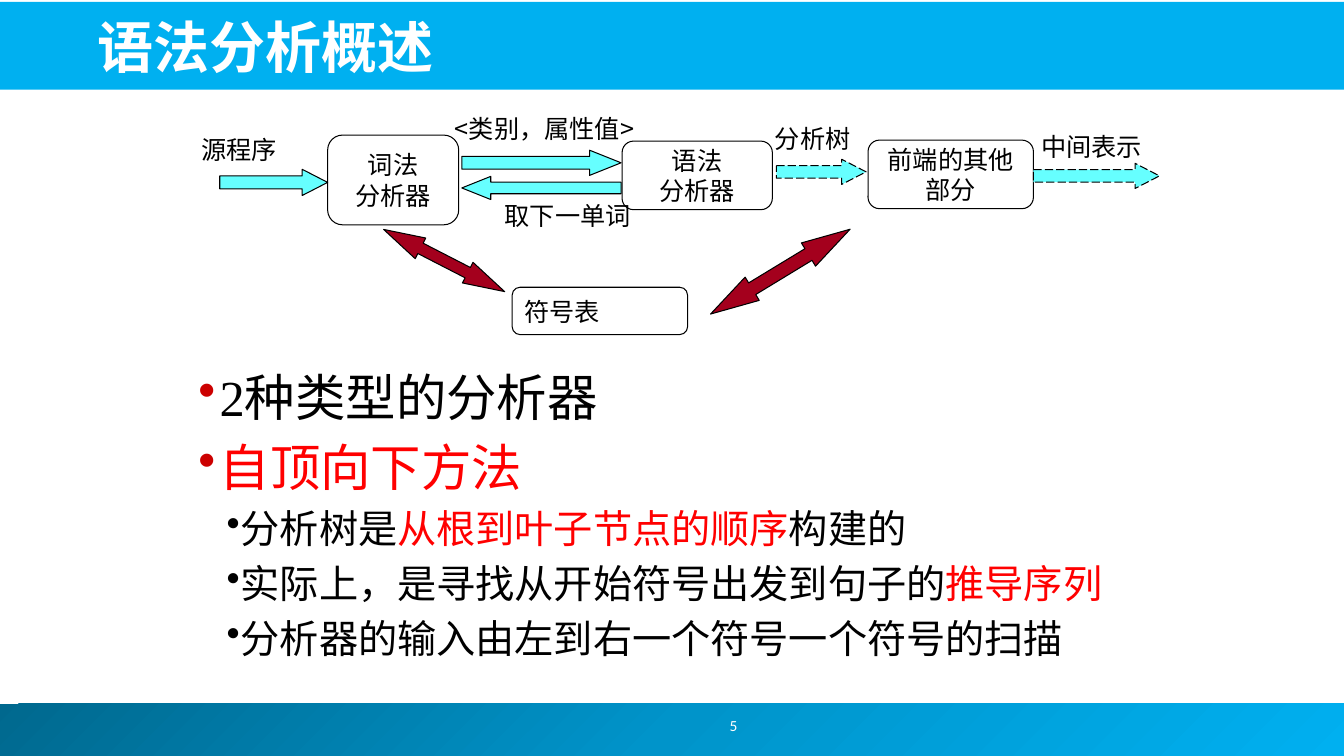
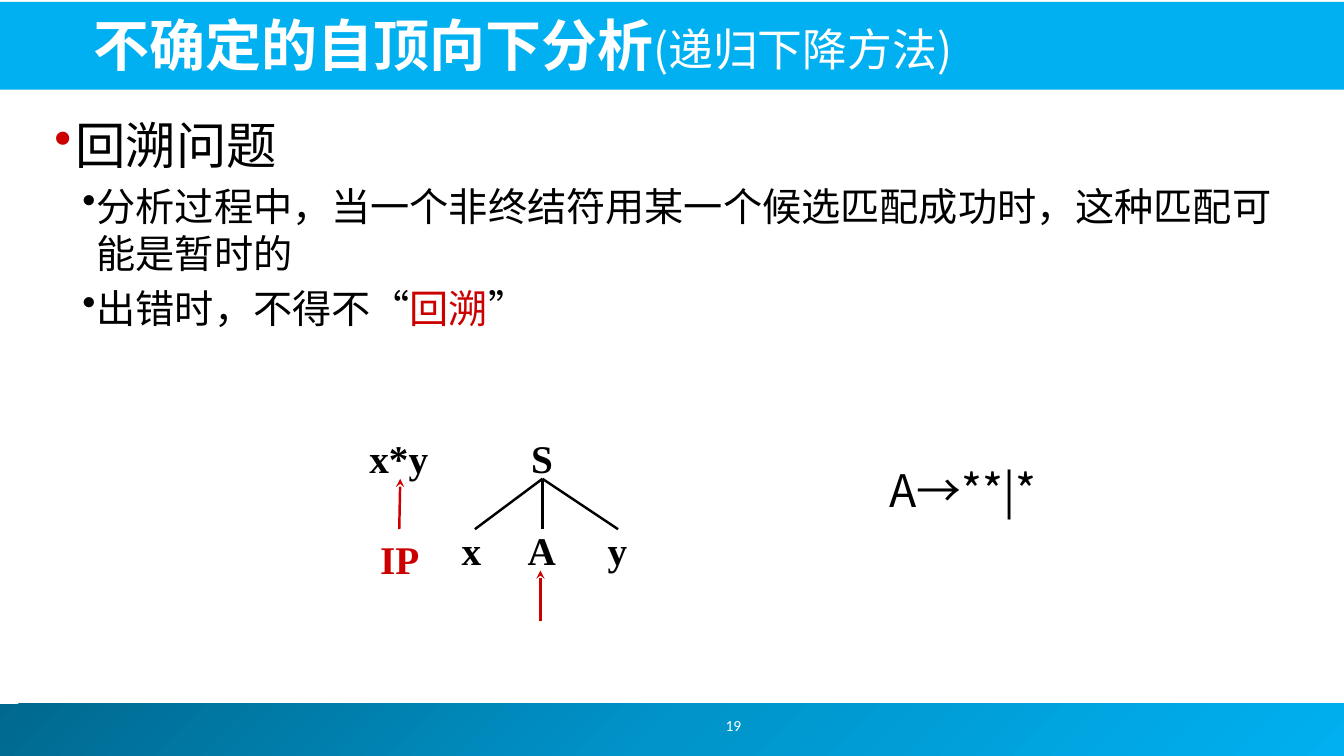
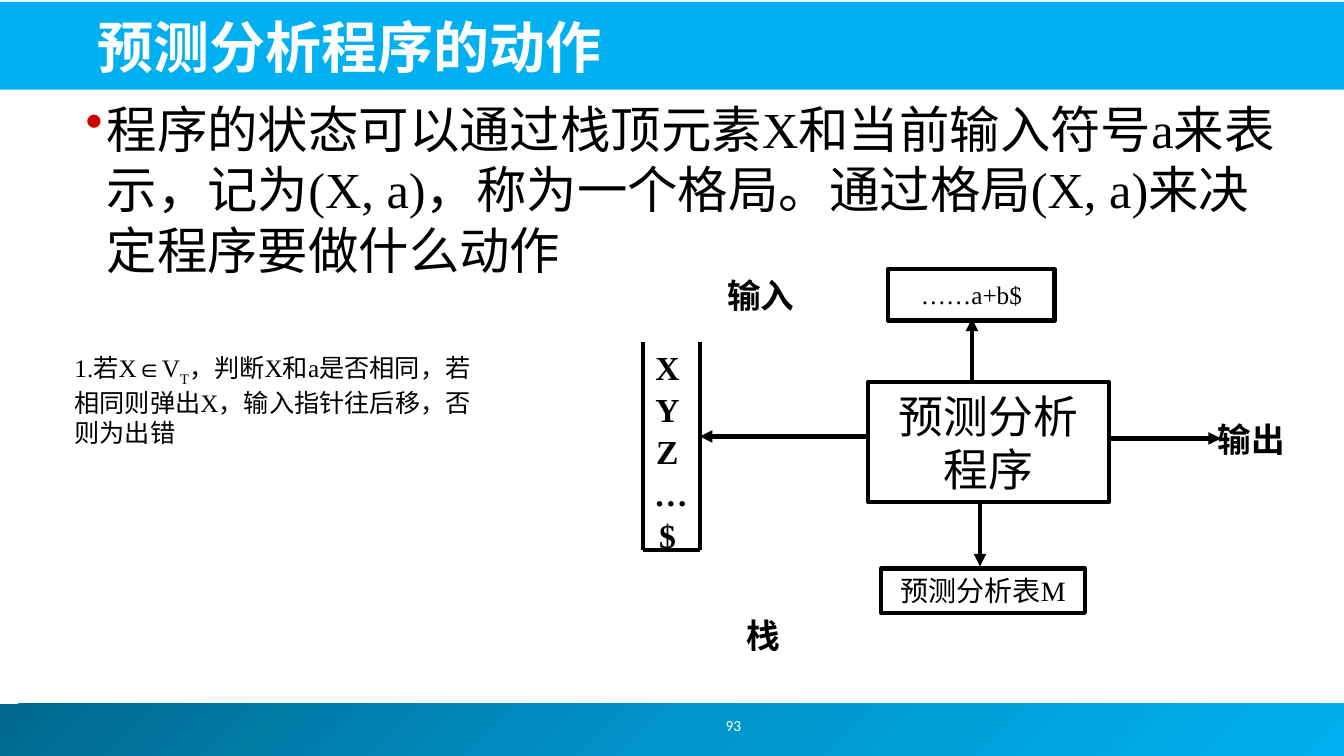
from copy import deepcopy
from dataclasses import dataclass

from lxml.etree import SubElement
from pptx import Presentation
from pptx.dml.color import RGBColor
from pptx.enum.shapes import MSO_CONNECTOR, MSO_SHAPE
from pptx.enum.text import MSO_ANCHOR, PP_ALIGN
from pptx.oxml.ns import qn
from pptx.util import Inches, Pt


@dataclass(frozen=True)
class Theme:
    black: str = "000000"
    white: str = "FFFFFF"
    red: str = "FF0000"
    dark_red: str = "CC0000"
    band: str = "00B0F0"
    footer: tuple = ("00688E", "0094CA", "00B0F0")
    flow: str = "66FFFF"
    access: str = "A4001D"
    serif: str = "Times New Roman"
    sans: str = "Noto Sans CJK JP"
    formula: str = "Noto Sans CJK SC"
    number: str = "Calibri"
    title_size: int = 40
    large: int = 32
    tree_size: int = 28
    label_size: int = 24
    table_size: int = 20
    small: int = 18
    number_size: int = 11


T = Theme()
LEFT, CENTER = PP_ALIGN.LEFT, PP_ALIGN.CENTER
TOP, MIDDLE, BOTTOM = MSO_ANCHOR.TOP, MSO_ANCHOR.MIDDLE, MSO_ANCHOR.BOTTOM
# level: (size, left margin, hanging indent, bullet colour)
LEVELS = [(36, 0.21, 0.21, T.dark_red), (28, 0.42, 0.14, T.black)]
RED, DARK_RED = {"color": T.red}, {"color": T.dark_red}

# A paragraph is a string or a list of runs; a run is a string or (string, changes).
OVERVIEW = {
    "number": "5",
    "title": ["语法分析概述"],
    "title_at": (0.87, 0.05, 12.06, 0.79),
    "body_at": (1.87, 3.58, 9.8, 3.42),
    "body": [
        (0, ["2种类型的分析器"]),
        (0, [("自顶向下方法", RED)]),
        (1, ["分析树是", ("从根到叶子节点的顺序", RED), "构建的"]),
        (1, ["实际上，是寻找从开始符号出发到句子的", ("推导序列", RED)]),
        (1, ["分析器的输入由左到右一个符号一个符号的扫描"]),
    ],
}
STAGES = [  # lines, place, alignment, outline
    (["源程序"], (1.87, 1.18, 0.9, 0.61), LEFT, T.white),
    (["词法", "分析器"], (3.25, 1.34, 1.3, 0.89), CENTER, T.black),
    (["语法", "分析器"], (6.17, 1.4, 1.49, 0.68), CENTER, T.black),
    (["前端的其他部分"], (8.61, 1.39, 1.64, 0.68), CENTER, T.black),
    (["符号表"], (5.08, 2.85, 1.74, 0.47), LEFT, T.black),
]
FLOWS = [  # shape, place, head length, dashed
    (MSO_SHAPE.RIGHT_ARROW, (2.18, 1.68, 1.07, 0.26), 0.97, False),
    (MSO_SHAPE.RIGHT_ARROW, (4.58, 1.49, 1.58, 0.25), 1.25, False),
    (MSO_SHAPE.LEFT_ARROW, (4.58, 1.75, 1.58, 0.23), 1.25, False),
    (MSO_SHAPE.RIGHT_ARROW, (7.7, 1.58, 0.89, 0.25), 0.97, True),
    (MSO_SHAPE.RIGHT_ARROW, (10.25, 1.62, 1.25, 0.25), 0.97, True),
]
TABLE_ACCESS = [  # place, rotation
    ((3.73, 2.47, 1.35, 0.23), 27.2),
    ((6.93, 2.56, 1.62, 0.27), -31.3),
]
FLOW_LABELS = [
    ("<类别，属性值>", (4.33, 1.08, 2.14, 0.4)),
    ("取下一单词", (4.78, 1.94, 1.7, 0.4)),
    ("分析树", (7.54, 1.17, 1.04, 0.4)),
    ("中间表示", (10.15, 1.25, 1.35, 0.4)),
]

BACKTRACKING = {
    "number": "19",
    "title": ["不确定的自顶向下分析",
              ("(递归下降方法)", {"size": T.large, "bold": False})],
    "title_at": (0.83, 0.03, 10.42, 0.79),
    "body_at": (0.44, 1.08, 12.47, 5.5),
    "body": [
        (0, ["回溯问题"]),
        (1, ["分析过程中，当一个非终结符用某一个候选匹配成功时，这种匹配可能是暂时的"]),
        (1, ["出错时，不得不“", ("回溯", DARK_RED), "”"]),
    ],
}
TREE_NODES = [  # text, left, top, height, colour
    ("x*y", 3.54, 4.33, 0.42, T.black),
    ("IP", 3.55, 5.29, 0.5, T.dark_red),
    ("S", 4.96, 4.33, 0.42, T.black),
    ("x", 4.26, 5.21, 0.5, T.black),
    ("A", 4.96, 5.21, 0.5, T.black),
    ("y", 5.71, 5.21, 0.5, T.black),
]
ROOT, LEAF_XS, LEAF_Y = (5.38, 4.75), (4.71, 5.38, 6.13), 5.25
POINTERS = [((3.96, 5.25), (3.97, 4.75)), ((5.36, 6.16), (5.36, 5.66))]

ACTIONS = {
    "number": "93",
    "title": ["预测分析程序的动作"],
    "title_at": (0.87, 0.05, 12.06, 0.79),
    "body_at": (0.75, 0.92, 12.14, 2.5),
    "body": [(0, ["程序的状态可以通过栈顶元素X和当前输入符号a来表示，记为(X, a)，"
                  "称为一个格局。通过格局(X, a)来决定程序要做什么动作"])],
}
MACHINE_BOXES = [
    ("……a+b$", (8.81, 2.67, 1.65, 0.51), T.small),
    ("预测分析程序", (8.61, 3.79, 2.39, 1.19), T.large),
    ("预测分析表M", (8.74, 5.64, 2.02, 0.44), T.table_size),
]
MACHINE_ARROWS = [
    ((8.61, 4.33), (6.94, 4.33)),
    ((9.64, 3.79), (9.64, 3.16)),
    ((11, 4.35), (12.11, 4.35)),
    ((9.72, 4.98), (9.72, 5.62)),
]
MACHINE_LABELS = [
    ("输出", (11.93, 4.11, 0.96, 0.51)),
    ("栈", (7.09, 6.05, 0.96, 0.51)),
    ("输入", (6.59, 2.68, 1.91, 0.51)),
]
STACK_OUTLINE = [(6.38, 3.39), (6.38, 5.46), (6.94, 5.46), (6.94, 3.39)]
STACK = ["X", "Y", "Z", "…", "$"]
RULE = ["1.若X∈V", ("T", {"baseline": -25000}),
        "，判断X和a是否相同，若相同则弹出X，输入指针往后移，否则为出错"]


def rgb(color):
    return RGBColor.from_string(color)


def inches(values):
    return [Inches(v) for v in values]


def add_runs(p, runs, size, font, color=T.black, bold=False):
    for run in [runs] if isinstance(runs, str) else runs:
        text, changes = (run, {}) if isinstance(run, str) else run
        r = p.add_run()
        r.text = text
        r.font.name = font
        r.font.size = Pt(changes.get("size", size))
        r.font.bold = changes.get("bold", bold)
        r.font.color.rgb = rgb(changes.get("color", color))
        if "baseline" in changes:
            r._r.get_or_add_rPr().set("baseline", str(changes["baseline"]))


def write(s, paragraphs, size, font, align=LEFT, anchor=TOP, wrap=True,
          gap=0, **style):
    tf = s.text_frame
    tf.word_wrap = wrap
    tf.vertical_anchor = anchor
    for i, runs in enumerate(paragraphs):
        p = tf.add_paragraph() if i else tf.paragraphs[0]
        p.alignment = align
        if i and gap:
            p.space_before = Pt(gap)
        add_runs(p, runs, size, font, **style)
    return tf


def add_text(slide, at, paragraphs, size, font, **style):
    return write(slide.shapes.add_textbox(*inches(at)), paragraphs, size, font, **style)


def add_shape(slide, kind, at, fill=None, line=None, width=0.75):
    s = slide.shapes.add_shape(kind, *inches(at))
    s.shadow.inherit = False
    if fill:
        s.fill.solid()
        s.fill.fore_color.rgb = rgb(fill)
    else:
        s.fill.background()
    if line:
        s.line.color.rgb = rgb(line)
        s.line.width = Pt(width)
    else:
        s.line.fill.background()
    return s


def add_line(slide, start, end, color, width, head=None):
    c = slide.shapes.add_connector(MSO_CONNECTOR.STRAIGHT, *inches((*start, *end)))
    c.line.color.rgb = rgb(color)
    c.line.width = Pt(width)
    if head:
        SubElement(c.line._get_or_add_ln(), qn("a:tailEnd"), type=head)
    SubElement(c._element.spPr, qn("a:effectLst"))


def add_block_arrow(slide, kind, at, head, fill):
    s = add_shape(slide, kind, at, fill, T.black)
    s.adjustments[0] = 0.5
    s.adjustments[1] = head
    return s


def add_footer_band(slide):
    s = add_shape(slide, MSO_SHAPE.RECTANGLE, (-0.05, 6.98, 13.39, 0.52))
    s.fill.gradient()
    s.fill.gradient_angle = 315
    stop_list = s._element.spPr.find(qn("a:gradFill")).find(qn("a:gsLst"))
    stop_list.insert(1, deepcopy(stop_list[0]))
    for stop, color, position in zip(s.fill.gradient_stops, T.footer, (0, 0.5, 1)):
        stop.color.rgb = rgb(color)
        stop.position = position


def add_bullets(slide, at, items):
    tf = slide.shapes.add_textbox(*inches(at)).text_frame
    tf.word_wrap = True
    for i, (level, runs) in enumerate(items):
        size, margin, hang, bullet_color = LEVELS[level]
        p = tf.add_paragraph() if i else tf.paragraphs[0]
        pPr = p._p.get_or_add_pPr()
        pPr.set("marL", str(Inches(margin)))
        pPr.set("indent", str(-Inches(hang)))
        SubElement(SubElement(pPr, qn("a:buClr")), qn("a:srgbClr"), val=bullet_color)
        SubElement(pPr, qn("a:buChar"), char="•")
        p.level = level
        if i:
            p.space_before = Pt(0.2 * size)
        add_runs(p, runs, size, T.serif)


def add_slide(prs, content):
    """Add a slide with the shared bands, title, page number and bullets."""
    slide = prs.slides.add_slide(prs.slide_layouts[6])
    add_footer_band(slide)
    add_shape(slide, MSO_SHAPE.RECTANGLE, (-0.02, 0.02, 13.36, 0.87), T.band)
    add_bullets(slide, content["body_at"], content["body"])
    add_text(slide, (5.83, 6.95, 2.89, 0.5), [content["number"]], T.number_size,
             T.number, align=CENTER, anchor=MIDDLE, color=T.white)
    add_text(slide, content["title_at"], [content["title"]], T.title_size, T.sans,
             anchor=BOTTOM, color=T.white, bold=True)
    return slide


def draw_front_end(slide):
    for lines, at, align, outline in STAGES:
        s = add_shape(slide, MSO_SHAPE.ROUNDED_RECTANGLE, at, line=outline)
        write(s, lines, T.small, T.sans, align=align, anchor=MIDDLE,
              wrap=align == CENTER)
    for kind, at, head, dashed in FLOWS:
        s = add_block_arrow(slide, kind, at, head, T.flow)
        if dashed:
            SubElement(s.line._get_or_add_ln(), qn("a:prstDash"), val="lgDash")
    for at, rotation in TABLE_ACCESS:
        s = add_block_arrow(slide, MSO_SHAPE.LEFT_RIGHT_ARROW, at, 1.79, T.access)
        s.rotation = rotation
    for text, at in FLOW_LABELS:
        add_text(slide, at, [text], T.small, T.sans, align=CENTER, wrap=False)


def draw_parse_tree(slide):
    add_text(slide, (8.72, 4.54, 1.7, 0.64), ["A→**|*"], T.large, T.formula,
             anchor=MIDDLE, wrap=False)
    for text, left, top, height, color in TREE_NODES:
        add_text(slide, (left, top, 0.83, height), [text], T.tree_size, T.serif,
                 align=CENTER, anchor=MIDDLE, wrap=False, color=color, bold=True)
    for x in LEAF_XS:
        add_line(slide, ROOT, (x, LEAF_Y), T.black, 1.75)
    for start, end in POINTERS:
        add_line(slide, start, end, T.dark_red, 1.75, "stealth")


def draw_machine(slide):
    for text, at, size in MACHINE_BOXES:
        s = add_shape(slide, MSO_SHAPE.RECTANGLE, at, line=T.black, width=3)
        write(s, [text], size, T.serif, align=CENTER, anchor=MIDDLE)
    for start, end in zip(STACK_OUTLINE, STACK_OUTLINE[1:]):
        add_line(slide, start, end, T.black, 3)
    for start, end in MACHINE_ARROWS:
        add_line(slide, start, end, T.black, 3, "triangle")
    tf = add_text(slide, (6.39, 3.39, 0.46, 2.14), STACK, T.label_size, T.serif,
                  align=CENTER, gap=1.3, bold=True)
    tf.paragraphs[STACK.index("…")].alignment = LEFT
    for text, at in MACHINE_LABELS:
        add_text(slide, at, [text], T.label_size, T.serif, align=CENTER, bold=True)
    add_text(slide, (0.64, 3.45, 4.23, 1.31), [RULE], T.small, T.serif)


def main():
    prs = Presentation()
    prs.slide_width, prs.slide_height = inches((13.33, 7.5))
    for content, draw in [(OVERVIEW, draw_front_end),
                          (BACKTRACKING, draw_parse_tree),
                          (ACTIONS, draw_machine)]:
        draw(add_slide(prs, content))
    prs.save("out.pptx")


if __name__ == "__main__":
    main()
